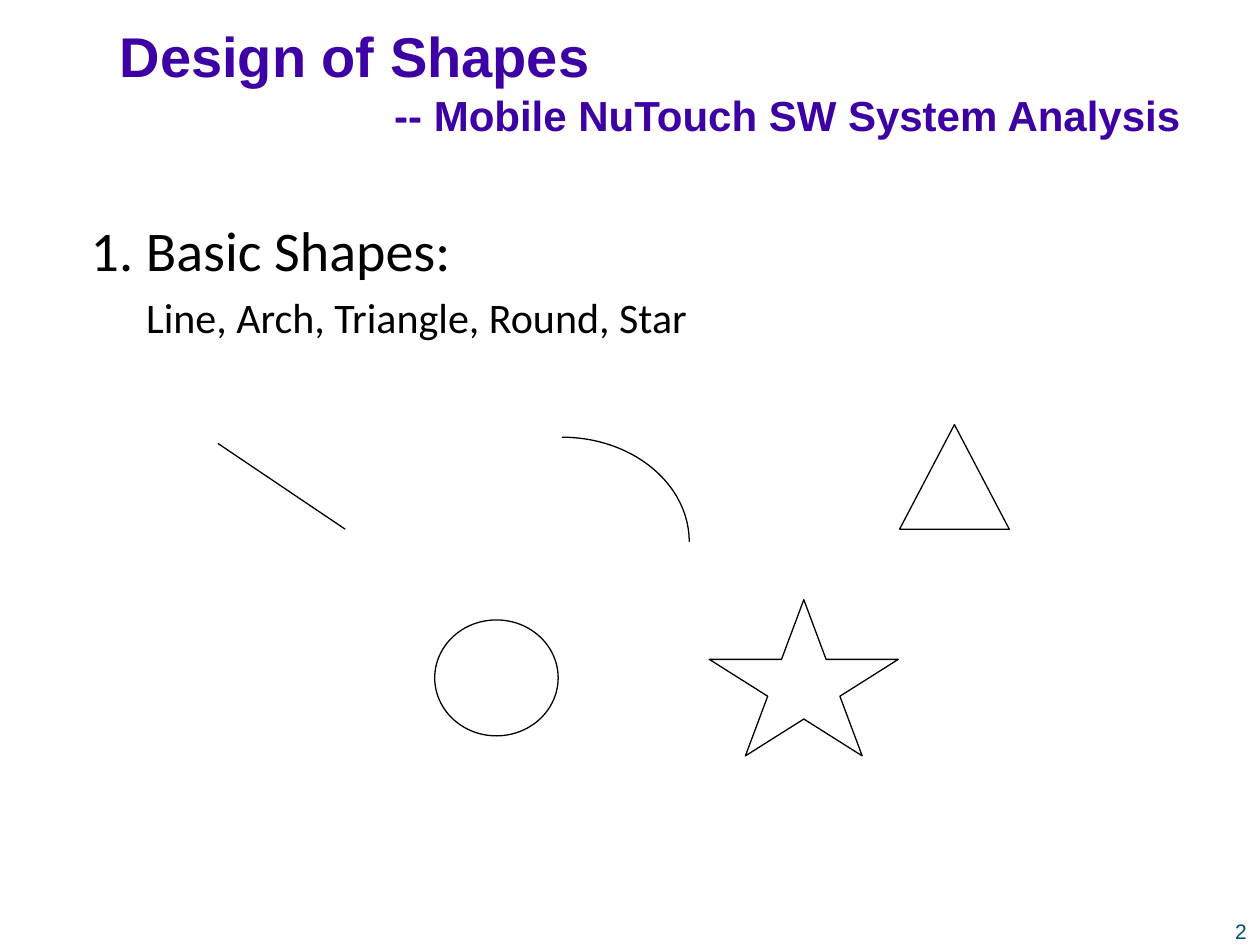
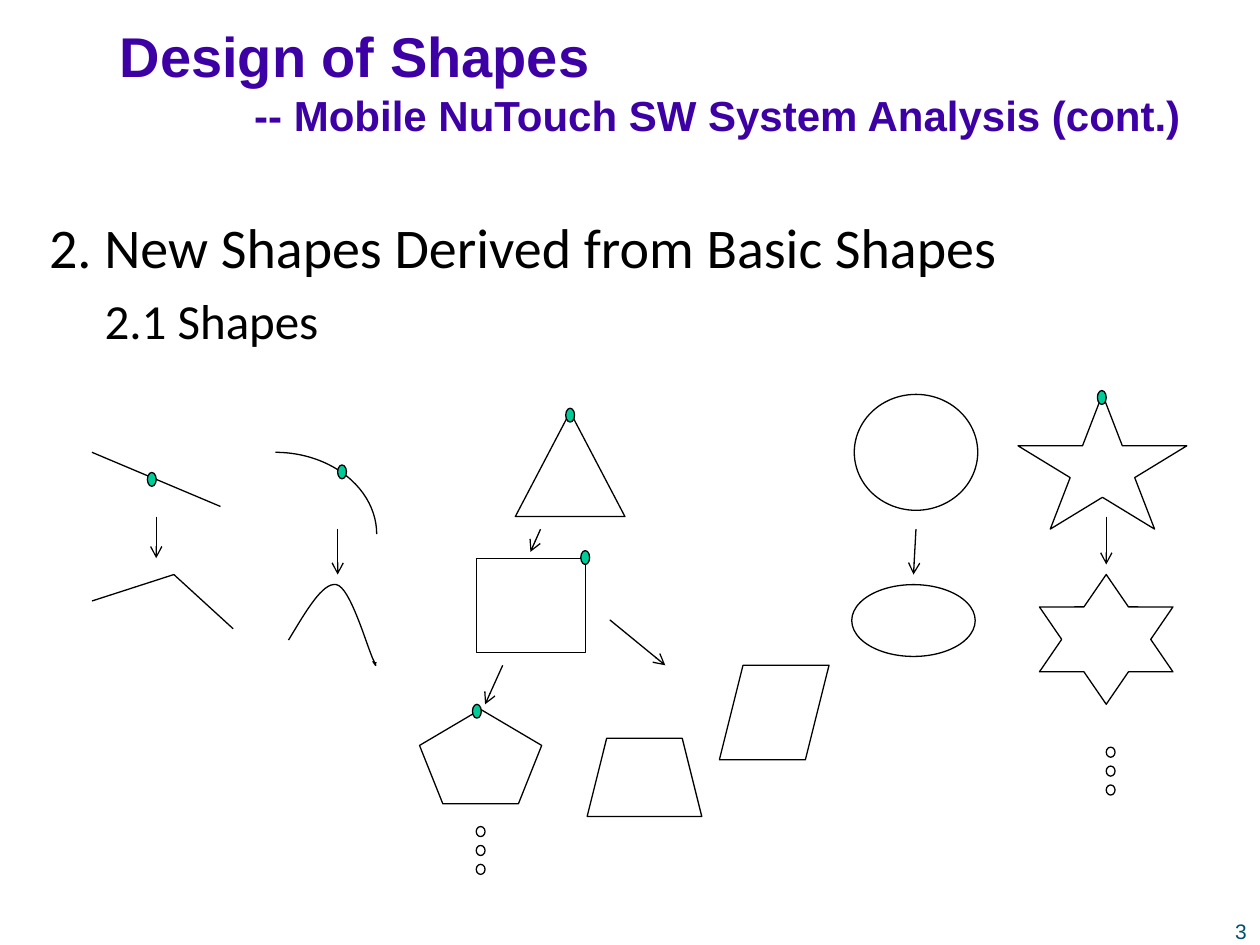
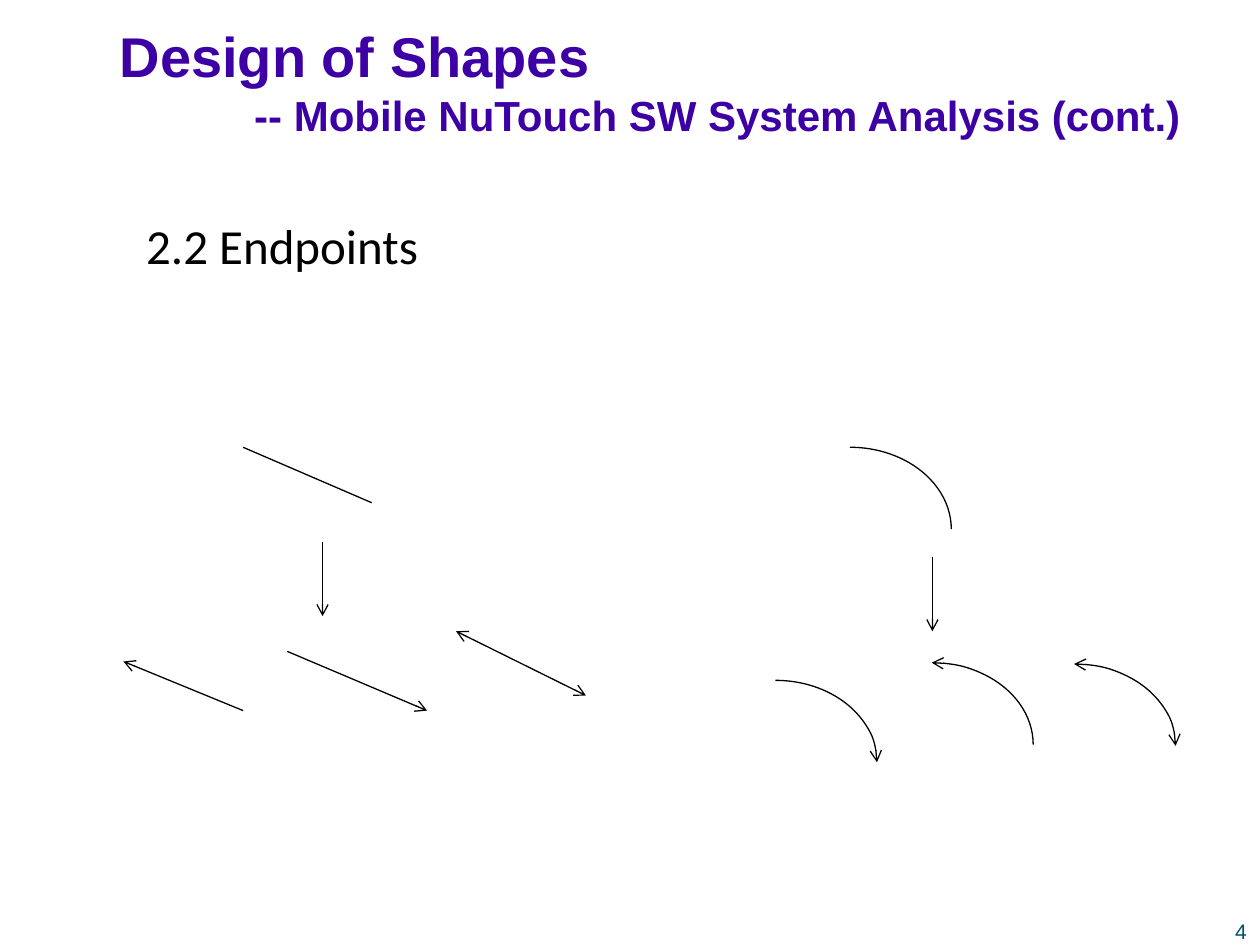
from lxml import etree
from pptx import Presentation
from pptx.dml.color import RGBColor
from pptx.enum.shapes import MSO_CONNECTOR, MSO_SHAPE
from pptx.enum.text import MSO_ANCHOR, MSO_AUTO_SIZE, PP_ALIGN
from pptx.oxml.ns import qn
from pptx.util import Inches, Pt

STRAIGHT = MSO_CONNECTOR.STRAIGHT
ARC = MSO_SHAPE.ARC
TRIANGLE = MSO_SHAPE.ISOSCELES_TRIANGLE
ELLIPSE = MSO_SHAPE.OVAL
RECTANGLE = MSO_SHAPE.RECTANGLE
PENTAGON = MSO_SHAPE.REGULAR_PENTAGON
TRAPEZOID = MSO_SHAPE.TRAPEZOID
PARALLELOGRAM = MSO_SHAPE.PARALLELOGRAM
STAR_5 = MSO_SHAPE.STAR_5_POINT
STAR_6 = MSO_SHAPE.STAR_6_POINT
DOT = MSO_SHAPE.FLOWCHART_CONNECTOR
LEFT, CENTER, RIGHT = PP_ALIGN.LEFT, PP_ALIGN.CENTER, PP_ALIGN.RIGHT
MIDDLE, TOP = MSO_ANCHOR.MIDDLE, MSO_ANCHOR.TOP
NO_AUTOFIT = MSO_AUTO_SIZE.NONE

BLACK = "000000"
PURPLE = "3D00A4"
TEAL = "00506E"
GREEN = "00CC99"
HEADING_FONT = "Arial"
BODY_FONT = "Calibri"
TITLE = "Design of Shapes"
SUBTITLE = "-- Mobile NuTouch SW System Analysis"
CONTINUED = SUBTITLE + " (cont.)"
SUBLEVEL_INDENT = 0.44
ARC_SIZE = (1.61, 1.3)


def color(value):
    return RGBColor.from_string(value)


def place(shape, left, top, width, height):
    shape.left, shape.top = Inches(left), Inches(top)
    shape.width, shape.height = Inches(width), Inches(height)


def write(paragraph, text, size, font=BODY_FONT, fill=BLACK, bold=False, align=LEFT):
    paragraph.alignment = align
    run = paragraph.add_run()
    run.text = text
    run.font.size = Pt(size)
    run.font.name = font
    run.font.bold = bold
    run.font.color.rgb = color(fill)


def prepare_frame(shape, anchor):
    frame = shape.text_frame
    frame.word_wrap = True
    frame.auto_size = NO_AUTOFIT
    frame.vertical_anchor = anchor
    return frame


def add_title(slide, subtitle):
    title = slide.shapes.title
    place(title, 0.85, 0.24, 8.65, 0.8)
    frame = prepare_frame(title, MIDDLE)
    frame.margin_right = Inches(0.13)
    heading = {"font": HEADING_FONT, "fill": PURPLE, "bold": True}
    write(frame.paragraphs[0], TITLE, 32, **heading)
    write(frame.add_paragraph(), subtitle, 24, align=RIGHT, **heading)


def add_body(slide, lines, left, top):
    body = slide.placeholders[1]
    place(body, left, top, 8.88, 5.12)
    frame = prepare_frame(body, TOP)
    for index, (text, size, indent) in enumerate(lines):
        paragraph = frame.add_paragraph() if index else frame.paragraphs[0]
        write(paragraph, text, size)
        properties = paragraph._p.get_or_add_pPr()
        properties.set("marL", str(Inches(indent)))
        properties.set("indent", "0")
        etree.SubElement(properties, qn("a:buNone"))


def add_page_number(slide, number):
    box = slide.shapes.add_textbox(Inches(9.57), Inches(7.24), Inches(0.56), Inches(0.23))
    frame = prepare_frame(box, TOP)
    write(frame.paragraphs[0], str(number), 12, HEADING_FONT, TEAL, align=CENTER)


def add_slide(presentation, number, subtitle, lines, left=0.62, top=1.66):
    slide = presentation.slides.add_slide(presentation.slide_layouts[1])
    add_page_number(slide, number)
    add_body(slide, lines, left, top)
    add_title(slide, subtitle)
    return slide


def outline(shape, head, tail):
    shape.line.color.rgb = color(BLACK)
    shape.line.width = Pt(0.75)
    line = shape.element.spPr.find(qn("a:ln"))
    for tag, wanted in (("a:headEnd", head), ("a:tailEnd", tail)):
        if wanted:
            etree.SubElement(line, qn(tag), type="arrow")


def finish(shape, fill=None, head=False, tail=False):
    shape.shadow.inherit = False
    if fill:
        shape.fill.solid()
        shape.fill.fore_color.rgb = color(fill)
    else:
        shape.fill.background()
    outline(shape, head, tail)


def add_figure(slide, kind, left, top, width, height, **style):
    shape = slide.shapes.add_shape(
        kind, Inches(left), Inches(top), Inches(width), Inches(height))
    finish(shape, **style)


def add_line(slide, start, end, head=False, tail=False):
    connector = slide.shapes.add_connector(
        STRAIGHT, *(Inches(value) for value in (*start, *end)))
    outline(connector, head, tail)
    etree.SubElement(connector.element.spPr, qn("a:effectLst"))


def add_arrow(slide, start, end):
    add_line(slide, start, end, tail=True)


def add_handle(slide, left, top):
    add_figure(slide, DOT, left, top, 0.07, 0.11, fill=GREEN)


def add_ellipsis(slide, left, top):
    for index in range(3):
        add_figure(slide, DOT, left, top + 0.15 * index, 0.07, 0.08)


def bezier_point(points, t):
    weights = ((1 - t) ** 3, 3 * t * (1 - t) ** 2, 3 * t * t * (1 - t), t ** 3)
    return tuple(
        Inches(sum(weight * point[axis] for weight, point in zip(weights, points)))
        for axis in (0, 1))


def add_curve(slide, start, segments, steps=16):
    points = []
    current = start
    for segment in segments:
        controls = (current, *segment)
        points += [bezier_point(controls, step / steps) for step in range(1, steps + 1)]
        current = segment[-1]
    builder = slide.shapes.build_freeform(Inches(start[0]), Inches(start[1]))
    builder.add_line_segments(points, close=False)
    finish(builder.convert_to_shape())


def build_basic_shapes(presentation):
    slide = add_slide(presentation, 2, SUBTITLE, [
        ("1. Basic Shapes:", 32, 0),
        ("Line, Arch, Triangle, Round, Star", 24, SUBLEVEL_INDENT)])
    add_line(slide, (1.73, 3.52), (2.74, 4.2))
    for figure in (
        (ARC, 3.45, 3.47, 2.02, 1.66),
        (TRIANGLE, 7.14, 3.37, 0.87, 0.83),
        (ELLIPSE, 3.45, 4.92, 0.98, 0.92),
        (STAR_5, 5.63, 4.76, 1.5, 1.24),
    ):
        add_figure(slide, *figure)


def build_derived_shapes(presentation):
    slide = add_slide(presentation, 3, CONTINUED, [
        ("2. New Shapes Derived from Basic Shapes", 32, 0),
        ("2.1 Shapes", 28, SUBLEVEL_INDENT)], left=0.29, top=1.64)
    for start, end in (
        ((0.73, 3.59), (1.75, 4.02)),
        ((0.73, 4.77), (1.38, 4.56)),
        ((1.38, 4.56), (1.85, 4.99)),
    ):
        add_line(slide, start, end)
    for figure in (
        (ARC, 1.38, 3.59, *ARC_SIZE),
        (TRIANGLE, 4.09, 3.27, 0.87, 0.83),
        (RECTANGLE, 3.78, 4.43, 0.87, 0.75),
        (PENTAGON, 3.33, 5.63, 0.97, 0.75),
        (TRAPEZOID, 4.66, 5.86, 0.91, 0.62),
        (PARALLELOGRAM, 5.71, 5.28, 0.87, 0.75),
        (ELLIPSE, 6.78, 3.13, 0.98, 0.92),
        (ELLIPSE, 6.76, 4.64, 0.98, 0.57),
        (STAR_5, 8.08, 3.13, 1.34, 1.07),
        (STAR_6, 8.25, 4.56, 1.06, 1.03),
    ):
        add_figure(slide, *figure)
    add_curve(slide, (2.29, 5.08), [
        ((2.43, 4.85), (2.56, 4.62), (2.67, 4.64)),
        ((2.78, 4.66), (2.91, 5.12), (2.96, 5.23)),
        ((3.01, 5.33), (2.96, 5.25), (2.96, 5.25)),
        ((2.97, 5.26), (2.98, 5.26), (2.99, 5.26))])
    for left, top in (
        (1.17, 3.75), (2.68, 3.69), (4.49, 3.24),
        (4.61, 4.37), (3.75, 5.59), (8.71, 3.1),
    ):
        add_handle(slide, left, top)
    add_ellipsis(slide, 3.78, 6.56)
    add_ellipsis(slide, 8.78, 5.93)
    for start, end in (
        ((1.24, 4.1), (1.24, 4.43)),
        ((2.68, 4.2), (2.68, 4.56)),
        ((4.29, 4.2), (4.21, 4.38)),
        ((4.84, 4.92), (5.28, 5.28)),
        ((3.99, 5.28), (3.85, 5.59)),
        ((7.27, 4.2), (7.25, 4.56)),
        ((8.78, 4.1), (8.78, 4.48)),
    ):
        add_arrow(slide, start, end)


def build_endpoints(presentation):
    slide = add_slide(presentation, 4, CONTINUED, [
        ("2.2 Endpoints", 28, SUBLEVEL_INDENT)])
    add_line(slide, (1.93, 3.55), (2.95, 3.99))
    add_line(slide, (3.62, 5.01), (4.65, 5.52), head=True, tail=True)
    for start, end in (
        ((2.28, 5.17), (3.39, 5.64)),
        ((1.93, 5.64), (0.98, 5.25)),
        ((2.56, 4.3), (2.56, 4.89)),
        ((7.4, 4.42), (7.4, 5.01)),
    ):
        add_arrow(slide, start, end)
    for left, top, head, tail in (
        (5.94, 3.55, False, False),
        (5.35, 5.4, False, True),
        (6.59, 5.26, True, False),
        (7.72, 5.27, True, True),
    ):
        add_figure(slide, ARC, left, top, *ARC_SIZE, head=head, tail=tail)


def main():
    presentation = Presentation()
    presentation.slide_width = Inches(10)
    presentation.slide_height = Inches(7.5)
    build_basic_shapes(presentation)
    build_derived_shapes(presentation)
    build_endpoints(presentation)
    presentation.save("out.pptx")


if __name__ == "__main__":
    main()
